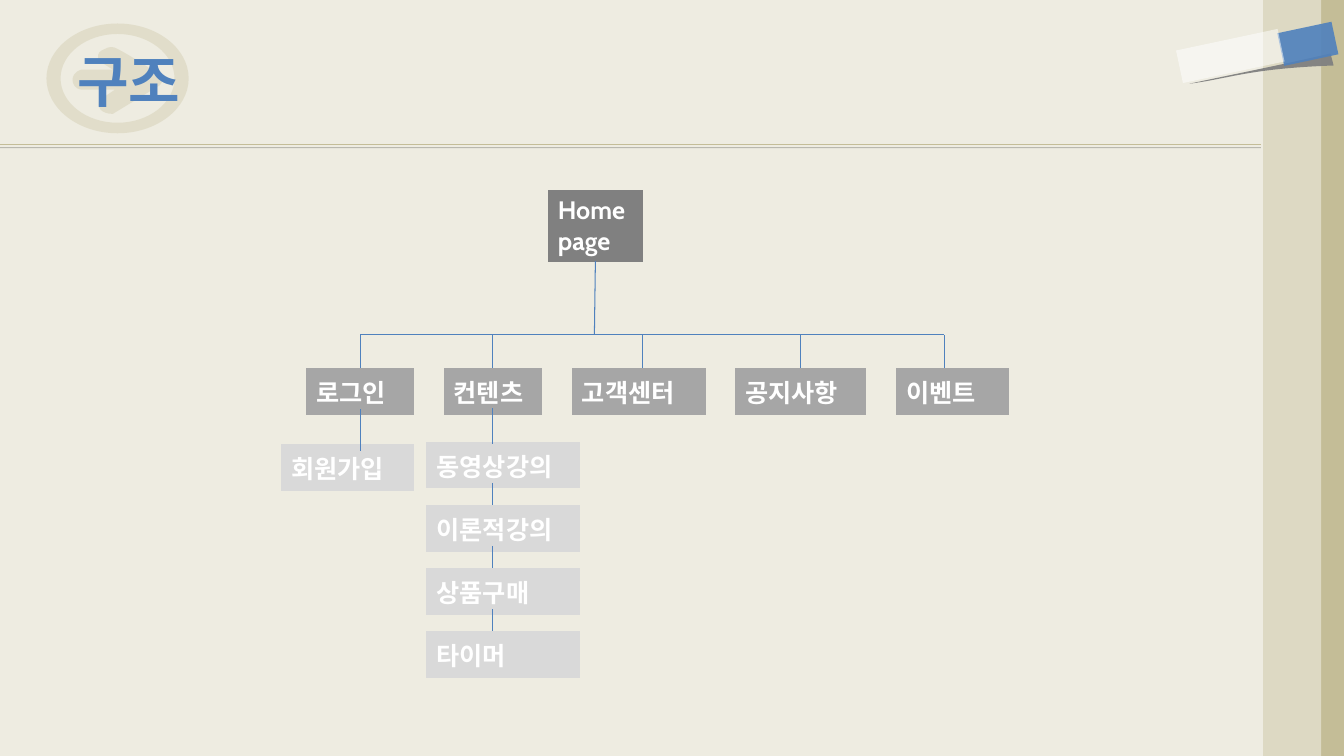
from lxml.etree import SubElement
from pptx import Presentation
from pptx.dml.color import RGBColor
from pptx.enum.shapes import MSO_CONNECTOR as CONNECTOR, MSO_SHAPE as SHAPE
from pptx.enum.text import MSO_ANCHOR as ANCHOR, MSO_AUTO_SIZE as AUTO_SIZE, PP_ALIGN as ALIGN
from pptx.oxml.ns import qn
from pptx.util import Pt

CREAM = RGBColor(0xEE, 0xEC, 0xE1)
SAND = RGBColor(0xDD, 0xD9, 0xC3)
KHAKI = RGBColor(0xC4, 0xBD, 0x97)
BLUE = RGBColor(0x4F, 0x81, 0xBD)
WHITE = RGBColor(0xFF, 0xFF, 0xFF)
DARK_GRAY = RGBColor(0x80, 0x80, 0x80)
MID_GRAY = RGBColor(0xA6, 0xA6, 0xA6)
LIGHT_GRAY = RGBColor(0xD9, 0xD9, 0xD9)
FONT = "Cabin"
NO_STYLE = "{2D5ABB26-0587-4C30-8999-92F81FD0307C}"


def paint(shape, color, opacity):
    """Flat fill with an opacity in percent, no line and no shadow."""
    shape.shadow.inherit = False
    shape.fill.solid()
    shape.fill.fore_color.rgb = color
    shape.line.fill.background()
    if opacity < 100:
        fill_color = shape._element.spPr.find(qn("a:solidFill"))[0]
        SubElement(fill_color, qn("a:alpha"), val=str(opacity * 1000))


def draw_outline(contours, color, opacity):
    """Each contour lists points (x, y) and Bezier steps (x1, y1, x2, y2, x, y)."""
    builder = shapes.build_freeform(*map(Pt, contours[0][0]))
    for index, (start, *steps) in enumerate(contours):
        if index:
            builder.move_to(*map(Pt, start))
        builder.add_line_segments([(Pt(step[-2]), Pt(step[-1])) for step in steps], close=True)
    shape = builder.convert_to_shape()
    # Turn the segments that have control points into curves
    all_steps = [step for contour in contours for step in contour[1:]]
    segments = list(shape._element.iter(qn("a:lnTo")))
    for segment, step in zip(segments, all_steps):
        if len(step) == 6:
            curve = segment.makeelement(qn("a:cubicBezTo"))
            for x, y in (step[:2], step[2:4], step[4:]):
                SubElement(curve, qn("a:pt"), x=str(Pt(x) - shape.left), y=str(Pt(y) - shape.top))
            segment.getparent().replace(segment, curve)
    paint(shape, color, opacity)


presentation = Presentation()
presentation.slide_width, presentation.slide_height = Pt(960), Pt(540)
slide = presentation.slides.add_slide(presentation.slide_layouts[5])
slide.background.fill.solid()
slide.background.fill.fore_color.rgb = CREAM
shapes = slide.shapes

# Arrow inside an oval ring, behind the title
arrow = [
    (113, 52.6), (107.3, 49, 88.6, 36.7, 81.4, 33.8), (77, 33.1, 76.3, 34.6, 72.7, 36),
    (69.8, 37.4, 69.1, 41, 71.3, 43.9), (80.6, 49.7), (58.3, 49.7),
    (53.3, 51.1, 51.8, 54.7, 51.8, 56.9), (51.8, 59.8, 53.3, 63.4, 58.3, 64.1),
    (82.1, 64.1), (71.3, 71.3), (69.8, 73.4, 70.6, 77, 72, 78.5),
    (73.4, 79.9, 76.3, 81.4, 80.6, 81.4), (97.2, 71.3, 113.8, 61.2, 113.8, 61.2),
    (115.9, 59, 115.9, 58.3, 115.9, 56.9), (115.9, 55.4, 115.2, 54, 113, 52.6),
]
ring = []
center_x, center_y = 84, 56
for rx, ry in ((50.8, 39.2), (40.7, 31.7)):
    oval = [(center_x, center_y - ry)]
    for ax, ay, bx, by in ((0, -1, 1, 0), (1, 0, 0, 1), (0, 1, -1, 0), (-1, 0, 0, -1)):
        oval.append((center_x + rx * (ax + 0.55 * bx), center_y + ry * (ay + 0.55 * by),
                     center_x + rx * (bx + 0.55 * ax), center_y + ry * (by + 0.55 * ay),
                     center_x + rx * bx, center_y + ry * by))
    ring.append(oval)
draw_outline([arrow], KHAKI, 30)
draw_outline(ring, KHAKI, 30)

# Right-hand bands, then the tilted strip over its shadow
strip_shadow = [(950.4, 38.2), (952.6, 46.8), (891.4, 49, 878.4, 56.2, 849.6, 59.8),
                (883.4, 52.6, 916.6, 46.1, 950.4, 38.2)]
rectangles = [
    (903.6, 0, 56.4, 540, 0, KHAKI, 100),
    (902.2, 0, 41.4, 540, 0, SAND, 100),
    (914.4, 19.4, 39.6, 23.8, -12, BLUE, 90),
    (841.7, 28.1, 74.2, 23.8, -12, WHITE, 50),
]
for index, (left, top, width, height, angle, color, opacity) in enumerate(rectangles):
    if index == 2:
        draw_outline([strip_shadow], DARK_GRAY, 95)
    rectangle = shapes.add_shape(SHAPE.RECTANGLE, Pt(left), Pt(top), Pt(width), Pt(height))
    rectangle.rotation = angle
    paint(rectangle, color, opacity)

# Title, brought in front of the decoration
title = shapes.title
shapes._spTree.append(title._element)
title.left, title.top, title.width, title.height = Pt(48), Pt(12.2), Pt(864), Pt(90)
title.text_frame.text = "구조"
title.text_frame.auto_size = AUTO_SIZE.NONE
title.text_frame.vertical_anchor = ANCHOR.MIDDLE
paragraph = title.text_frame.paragraphs[0]
paragraph.alignment = ALIGN.LEFT
font = paragraph.font
font.name, font.size, font.bold = FONT, Pt(40), True
font.color.rgb = BLUE

# Site map boxes: text, left, top, width, height, fill
boxes = [("Home page", 391.3, 135.9, 68.2, 50.4, DARK_GRAY)]
for text, left, width in (("로그인", 218.9, 77), ("컨텐츠", 316.9, 70.6), ("고객센터", 408.5, 95.6),
                          ("공지사항", 525.1, 93.4), ("이벤트", 640.1, 80.6)):
    boxes.append((text, left, 262.8, width, 29.5, MID_GRAY))
boxes.append(("회원가입", 200.8, 317.1, 95, 29.5, LIGHT_GRAY))
for row, text in enumerate(("동영상강의", "이론적강의", "상품구매", "타이머")):
    boxes.append((text, 304.6, 315.6 + 45.1 * row, 109.9, 29.5, LIGHT_GRAY))

for text, left, top, width, height, color in boxes:
    table = shapes.add_table(1, 1, Pt(left), Pt(top), Pt(width), Pt(height)).table
    table.first_row = table.horz_banding = False
    table._tbl.tblPr.find(qn("a:tableStyleId")).text = NO_STYLE
    cell = table.cell(0, 0)
    cell.fill.solid()
    cell.fill.fore_color.rgb = color
    cell.text = text
    font = cell.text_frame.paragraphs[0].font
    font.name, font.size, font.bold = FONT, Pt(18), True
    font.color.rgb = WHITE

# Lines: title rule, trunk, bus, drops to the second level, links below
login_x, contents_x, event_x = 257.3, 352.1, 674.6
bus_y = 239
lines = [(0, 103.5, 900.7, 103.5, KHAKI),
         (425.3, 186.5, 424.6, bus_y, BLUE),
         (login_x, bus_y, event_x, bus_y, BLUE)]
for x in (login_x, contents_x, 459.1, 571.7, event_x):
    lines.append((x, 262.8, x, bus_y, BLUE))
lines.append((login_x, 292.3, login_x, 322.4, BLUE))
lines.append((contents_x, 291.6, contents_x, 316.8, BLUE))
for row in range(3):
    top = 344.9 + 45.1 * row
    lines.append((contents_x, top, contents_x, top + 15.8, BLUE))

for x1, y1, x2, y2, color in lines:
    line = shapes.add_connector(CONNECTOR.STRAIGHT, Pt(x1), Pt(y1), Pt(x2), Pt(y2))
    line.line.width = Pt(0.75)
    line.line.color.rgb = color
    effects = SubElement(line._element.spPr, qn("a:effectLst"))
    if color == KHAKI:
        shadow = SubElement(effects, qn("a:outerShdw"), dist=str(Pt(2)), dir="5400000")
        shadow_color = SubElement(shadow, qn("a:srgbClr"), val="000000")
        SubElement(shadow_color, qn("a:alpha"), val="22000")

presentation.save("out.pptx")
